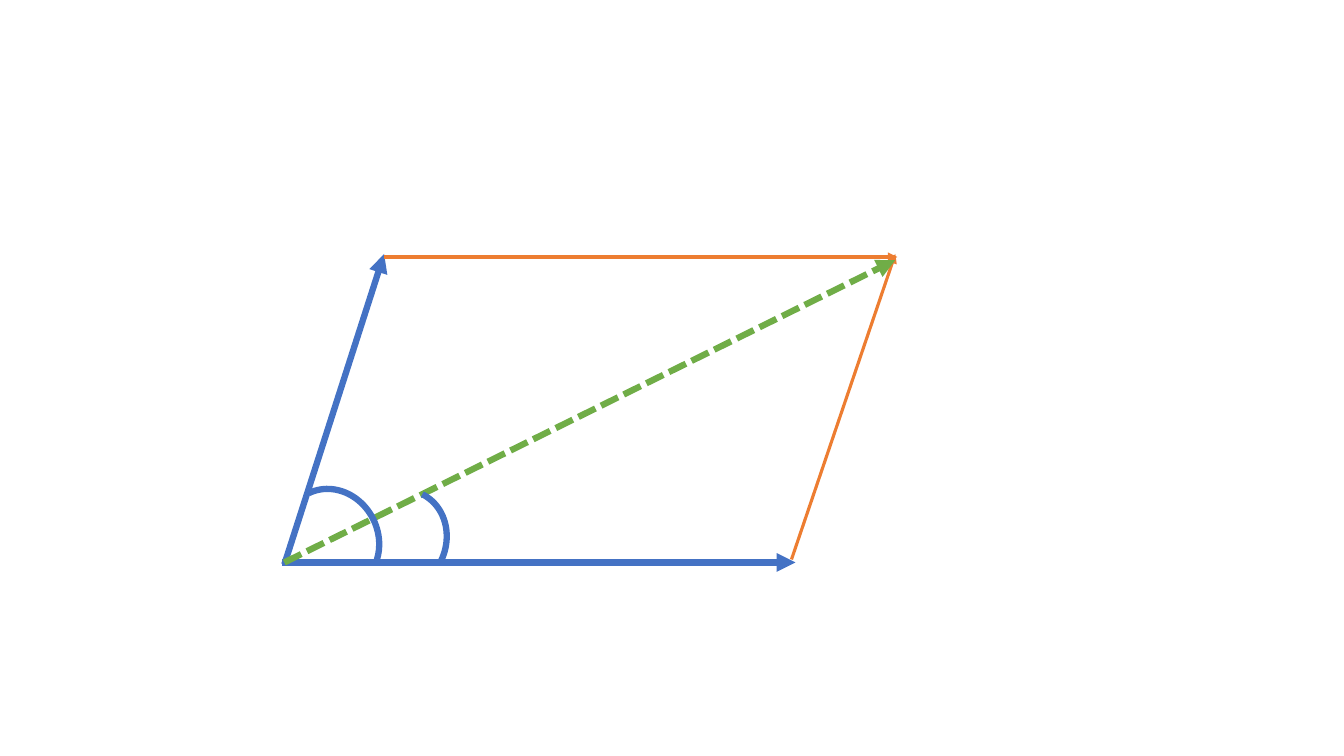
"""Draw the parallelogram of two vectors with their sum and two angles."""
from lxml.etree import SubElement
from pptx import Presentation
from pptx.dml.color import RGBColor as RGB
from pptx.enum.dml import MSO_LINE as Dash
from pptx.enum.shapes import MSO_CONNECTOR as Link, MSO_SHAPE as Shape
from pptx.oxml.ns import qn
from pptx.util import Inches, Pt

COLORS = {"vector": "4472C4", "side": "ED7D31", "sum": "70AD47"}
THICK, THIN = 4.5, 2.25


def style(line, color, width):
    line.color.rgb = RGB.from_string(COLORS[color])
    line.width = Pt(width)


def arrow(slide, start, end, color, width=THICK, dash=None):
    ends = [Inches(v) for v in (*start, *end)]
    link = slide.shapes.add_connector(Link.STRAIGHT, *ends)
    style(link.line, color, width)
    if dash:
        link.line.dash_style = dash
    props = link._element.spPr
    SubElement(props.find(qn("a:ln")), qn("a:tailEnd"), type="triangle")
    SubElement(props, qn("a:effectLst"))


def angle(slide, left, top, turn, sweep=0):
    box = [Inches(v) for v in (left, top, 0.92, 1.03)]
    arc = slide.shapes.add_shape(Shape.ARC, *box)
    arc.rotation = turn
    arc.adjustments[0] = 162
    arc.adjustments[1] = sweep
    arc.shadow.inherit = False
    arc.fill.background()
    style(arc.line, "vector", THICK)


def main():
    deck = Presentation()
    deck.slide_width, deck.slide_height = Inches(13.33), Inches(7.5)
    slide = deck.slides.add_slide(deck.slide_layouts[6])
    arrow(slide, (2.82, 5.6), (3.81, 2.52), "vector")
    arrow(slide, (2.8, 5.58), (7.89, 5.58), "vector")
    arrow(slide, (3.81, 2.55), (8.9, 2.55), "side", THIN)
    arrow(slide, (7.85, 5.55), (8.88, 2.52), "side", THIN)
    arrow(slide, (2.82, 5.58), (8.88, 2.58), "sum", dash=Dash.SQUARE_DOT)
    angle(slide, 2.83, 4.84, 333.8, sweep=32.27)
    angle(slide, 3.5, 4.85, 26.4)
    deck.save("out.pptx")


if __name__ == "__main__":
    main()
